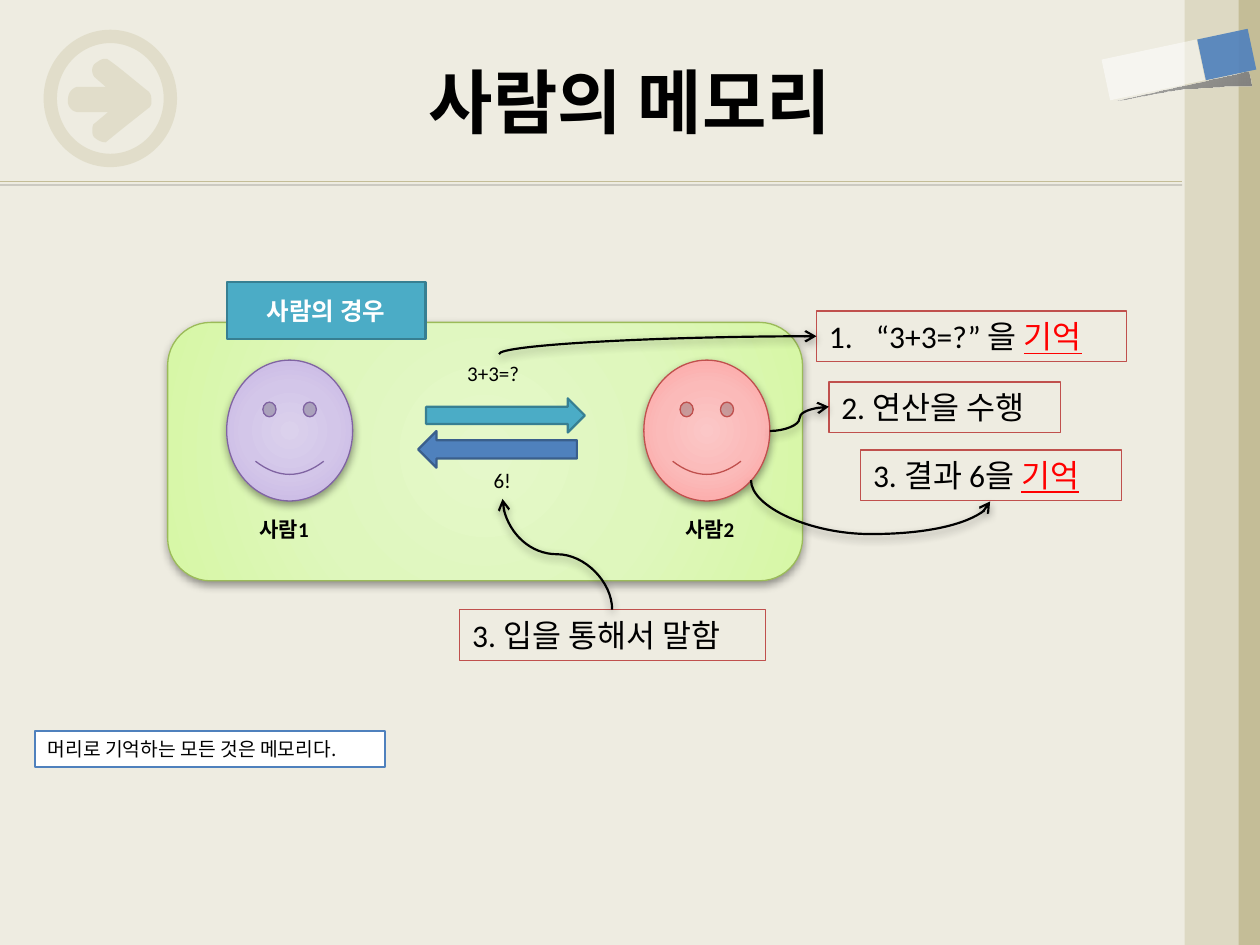
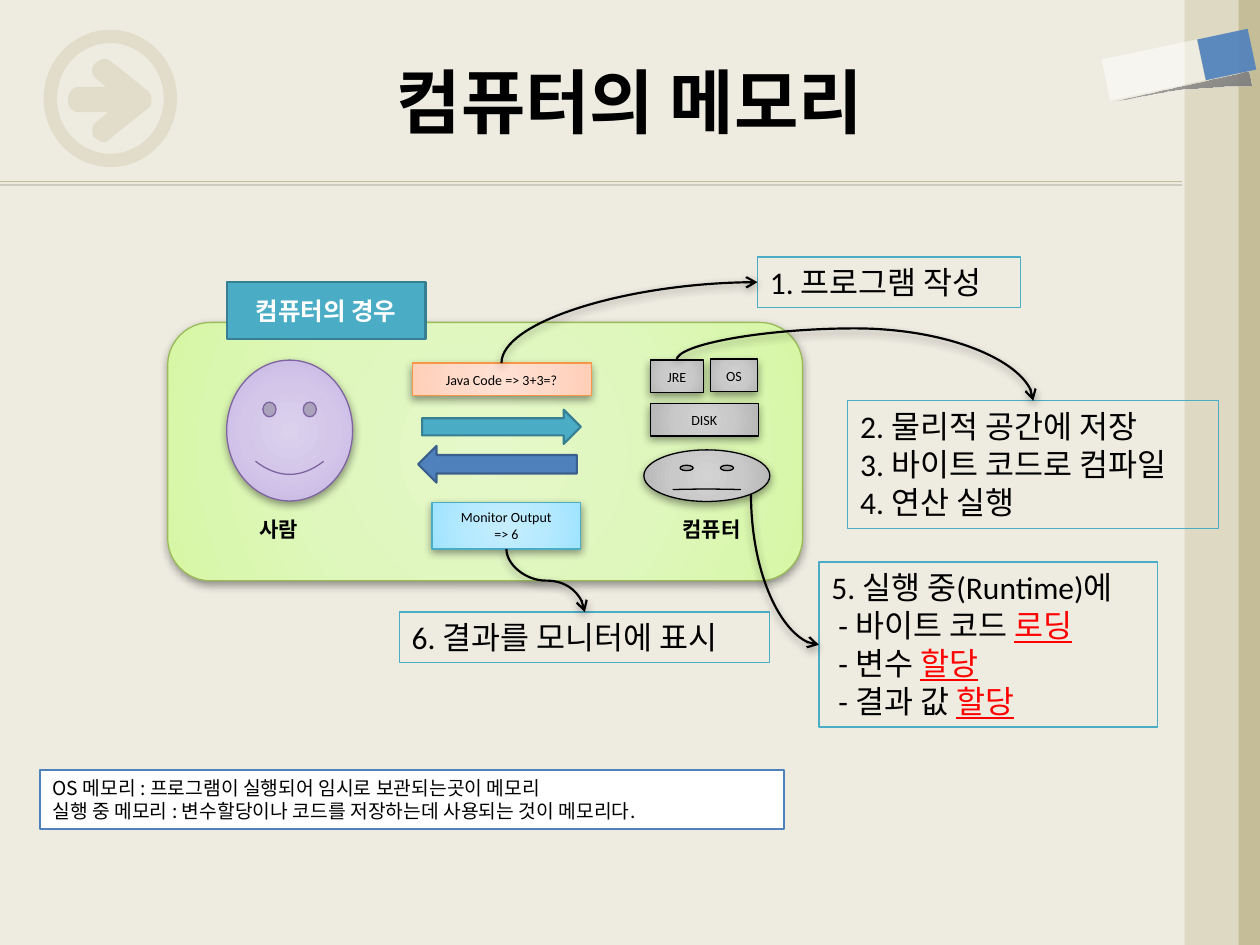
from dataclasses import dataclass

from lxml.etree import SubElement
from pptx import Presentation
from pptx.dml.color import RGBColor
from pptx.enum.shapes import MSO_CONNECTOR, MSO_SHAPE
from pptx.enum.text import MSO_ANCHOR, MSO_AUTO_SIZE, PP_ALIGN
from pptx.oxml import parse_xml
from pptx.oxml.ns import nsdecls, qn
from pptx.util import Cm, Pt


@dataclass(frozen=True)
class Theme:
    """Colours, fonts and type sizes shared by the slides."""
    paper: str = "EEECE1"
    band: str = "DDD9C3"
    edge: str = "C4BD97"
    ink: str = "000000"
    white: str = "FFFFFF"
    accent: str = "FF0000"
    gray: str = "808080"
    blue: str = "4F81BD"
    blue_line: str = "3A5F8C"
    teal: str = "4BACC6"
    teal_line: str = "377F92"
    red: str = "C0504D"
    latin: str = "Calibri"
    korean: str = "Noto Sans CJK KR"
    title: int = 40
    callout: int = 18
    heading: int = 14
    label: int = 12
    note: int = 11
    device: int = 8
    thin: float = 0.75
    thick: float = 1.25


THEME = Theme()
SHADOW = (40, 5, 2)
GLOWS = {
    "green": (("E5F8CA", "DFF7BD", "D7F7A7", "D5F99E"), "9BBB59"),
    "violet": (("DBD1EC", "D3C6E9", "C6B3E3", "C2ACE3"), "8064A2"),
    "pink": (("FBC7C7", "FBBAB9", "FDA2A1", "FF9A98"), THEME.red),
    "gray": (("D3D3D3", "C9C9C9", "B8B8B8", "B2B2B2"), THEME.ink),
    "orange": (("FFE0D3", "FFDAC9", "FFCFB8", "FFCBB3"), "F79646"),
    "sky": (("C5EDFE", "B7EAFF", "A1E4FF", "9BE3FF"), THEME.teal),
}
ARROW_START = (3.0, 1.85)
ARROW_SEGMENTS = (
    ((2.84, 1.73), (2.34, 1.3), (2.16, 1.19)),
    ((2.06, 1.17), (2.01, 1.22), (1.93, 1.27)),
    ((1.85, 1.32), (1.83, 1.45), (1.9, 1.55)),
    ((2.13, 1.75),),
    ((1.55, 1.75),),
    ((1.4, 1.8), (1.37, 1.93), (1.37, 2.01)),
    ((1.35, 2.11), (1.42, 2.24), (1.55, 2.26)),
    ((2.18, 2.26),),
    ((1.88, 2.51),),
    ((1.85, 2.59), (1.85, 2.72), (1.9, 2.77)),
    ((1.96, 2.82), (2.03, 2.87), (2.13, 2.87)),
    ((2.57, 2.51), (3.02, 2.16), (3.02, 2.16)),
    ((3.07, 2.08), (3.05, 2.06), (3.05, 2.01)),
    ((3.05, 1.96), (3.05, 1.91), (3.0, 1.85)),
)
FOLD_START = (25.15, 1.45)
FOLD_SEGMENTS = (
    ((25.22, 1.75),),
    ((23.57, 1.73), (23.24, 1.93), (22.48, 2.03)),
    ((23.37, 1.83), (24.26, 1.65), (25.15, 1.45)),
)


def add_shadow(effects, alpha, blur, distance):
    """Put a soft downward shadow in an effect list."""
    effects.append(parse_xml(
        f'<a:outerShdw {nsdecls("a")} blurRad="{Pt(blur)}" dist="{Pt(distance)}" '
        f'dir="5400000" rotWithShape="0"><a:srgbClr val="{THEME.ink}">'
        f'<a:alpha val="{alpha * 1000}"/></a:srgbClr></a:outerShdw>'))


def paint(shape, fill=None, line=None, width=THEME.thin, alpha=100):
    """Give a shape a flat fill and a line, either of which may be absent."""
    shape.shadow.inherit = False
    if fill:
        shape.fill.solid()
        shape.fill.fore_color.rgb = RGBColor.from_string(fill)
        if alpha < 100:
            colour = shape._element.spPr.find(qn("a:solidFill"))[0]
            SubElement(colour, qn("a:alpha"), val=str(alpha * 1000))
    else:
        shape.fill.background()
    if line:
        shape.line.color.rgb = RGBColor.from_string(line)
        shape.line.width = Pt(width)
    else:
        shape.line.fill.background()


def paint_radial(shape, stops, centre):
    """Replace the empty fill of a shape by a circular gradient."""
    marks = "".join(
        f'<a:gs pos="{place * 1000}"><a:srgbClr val="{colour}">'
        f'<a:alpha val="{alpha * 1000}"/></a:srgbClr></a:gs>'
        for place, colour, alpha in stops)
    sides = " ".join(f'{side}="{value * 1000}"' for side, value in zip("ltrb", centre))
    gradient = parse_xml(
        f'<a:gradFill {nsdecls("a")} rotWithShape="1"><a:gsLst>{marks}</a:gsLst>'
        f'<a:path path="circle"><a:fillToRect {sides}/></a:path></a:gradFill>')
    properties = shape._element.spPr
    properties.replace(properties.find(qn("a:noFill")), gradient)


def add_box(slide, kind, place, **look):
    """Add a flat preset shape at a place in centimetres."""
    box = slide.shapes.add_shape(kind, *map(Cm, place))
    paint(box, **look)
    return box


def add_glow(slide, kind, place, name):
    """Add a shadowed preset shape with one of the soft gradients."""
    colours, line = GLOWS[name]
    box = add_box(slide, kind, place, line=line)
    stops = [(at, colour, 100) for at, colour in zip((0, 50, 97, 100), colours)]
    paint_radial(box, stops, (50, 50, 50, 50))
    add_shadow(box._element.spPr.find(qn("a:effectLst")), *SHADOW)
    return box


def add_outline(slide, start, segments):
    """Add a closed freeform whose segments are lines or cubic curves."""
    points, here = [], start
    for segment in segments:
        if len(segment) == 1:
            points.append(segment[0])
        else:
            for step in range(1, 9):
                t = step / 8
                weights = ((1 - t) ** 3, 3 * t * (1 - t) ** 2, 3 * t * t * (1 - t), t ** 3)
                knots = (here, *segment)
                points.append(tuple(
                    sum(weight * knot[axis] for weight, knot in zip(weights, knots))
                    for axis in (0, 1)))
        here = segment[-1]
    builder = slide.shapes.build_freeform(*map(Cm, start))
    builder.add_line_segments([tuple(map(Cm, point)) for point in points], close=True)
    return builder.convert_to_shape()


def write_span(para, text, size, colour, font, **extra):
    """Add one run of formatted text."""
    span = para.add_run()
    span.text = text
    span.font.color.rgb = RGBColor.from_string(colour)
    for name, value in {"size": Pt(size), "name": font, **extra}.items():
        setattr(span.font, name, value)
    SubElement(span._r.get_or_add_rPr(), qn("a:ea"), typeface=THEME.korean)


def write(box, lines, size, colour=THEME.ink, font=THEME.latin, bold=False,
          centred=True, wrap=True, grow=False, numbered=False):
    """Fill a box with lines, where text after a bar is highlighted."""
    frame = box.text_frame
    layout = {
        "word_wrap": wrap,
        "auto_size": MSO_AUTO_SIZE.SHAPE_TO_FIT_TEXT if grow else MSO_AUTO_SIZE.NONE,
        "vertical_anchor": MSO_ANCHOR.MIDDLE if centred else MSO_ANCHOR.TOP,
    }
    for name, value in layout.items():
        setattr(frame, name, value)
    for index, line in enumerate(lines):
        para = frame.add_paragraph() if index else frame.paragraphs[0]
        para.alignment = PP_ALIGN.CENTER if centred else PP_ALIGN.LEFT
        properties = para._p.get_or_add_pPr()
        if numbered:
            properties.set("marL", str(Cm(0.95)))
            properties.set("indent", str(-Cm(0.95)))
            SubElement(properties, qn("a:buAutoNum"), type="arabicPeriod")
        elif line.startswith("- "):
            properties.set("marL", str(Cm(0.14)))
        plain, _, marked = line.partition("|")
        write_span(para, plain, size, colour, font, bold=bold)
        if marked:
            write_span(para, marked, size, THEME.accent, font, underline=True)


def add_label(slide, place, text, bold=False):
    """Add a small one-line caption."""
    box = slide.shapes.add_textbox(*map(Cm, place))
    write(box, [text], THEME.label, bold=bold, centred=False, wrap=False, grow=True)


def add_callout(slide, place, line, lines, numbered=False):
    """Add an outlined explanation."""
    box = add_box(slide, MSO_SHAPE.RECTANGLE, place, line=line)
    write(box, lines, THEME.callout, centred=False, wrap=False, grow=True, numbered=numbered)


def add_note(slide, place, lines, wrap):
    """Add the white conclusion box."""
    box = add_box(slide, MSO_SHAPE.RECTANGLE, place,
                  fill=THEME.white, line=THEME.blue, width=THEME.thick)
    write(box, lines, THEME.note, font=THEME.korean, centred=False, wrap=wrap, grow=True)


def add_device(slide, place, glow, *lines):
    """Add a small gradient box naming a part of the computer."""
    write(add_glow(slide, MSO_SHAPE.RECTANGLE, place, glow), lines, THEME.device)


def style_connector(connector, colour, width, shadow):
    """Set colour, width and shadow of a connector."""
    connector.line.color.rgb = RGBColor.from_string(colour)
    connector.line.width = Pt(width)
    add_shadow(SubElement(connector._element.spPr, qn("a:effectLst")), *shadow)


def add_curve(slide, start, end, bend=None, upright=True):
    """Add a curved arrow that leaves upright or sideways, with an optional bend."""
    (x1, y1), (x2, y2) = start, end
    across, down = x2 - x1, y2 - y1
    corners = (x1, y1, x2, y2)
    if upright:
        x, y, half_w, half_h = (x1 + x2) / 2, (y1 + y2) / 2, abs(down) / 2, abs(across) / 2
        corners = (x - half_w, y - half_h, x + half_w, y + half_h)
    curve = slide.shapes.add_connector(MSO_CONNECTOR.CURVE, *map(Cm, corners))
    properties = curve._element.spPr
    if upright:
        turn, sign = (90, 1) if across > 0 > down else (270, -1)
        frame = {"rot": turn * 60000, "flipH": int(sign * down < 0),
                 "flipV": int(sign * across > 0)}
        for name, value in frame.items():
            properties.find(qn("a:xfrm")).set(name, str(value))
    geometry = properties.find(qn("a:prstGeom"))
    if bend is None:
        geometry.set("prst", "curvedConnector2")
    else:
        SubElement(geometry.find(qn("a:avLst")), qn("a:gd"),
                   name="adj1", fmla=f"val {round(bend * 100000)}")
    style_connector(curve, THEME.ink, THEME.thick, SHADOW)
    SubElement(curve.line._get_or_add_ln(), qn("a:tailEnd"), type="arrow")


def add_frame(slide, title):
    """Draw the rule, emblem, side bands, ribbon and title."""
    rule = slide.shapes.add_connector(MSO_CONNECTOR.STRAIGHT, *map(Cm, (0, 3.66, 23.83, 3.66)))
    style_connector(rule, THEME.edge, THEME.thin, (22, 0, 2))
    paint(add_outline(slide, ARROW_START, ARROW_SEGMENTS), fill=THEME.edge, alpha=30)
    ring = add_box(slide, MSO_SHAPE.DONUT, (0.88, 0.6, 2.69, 2.77), fill=THEME.edge, alpha=30)
    ring.adjustments[0] = 0.1
    add_box(slide, MSO_SHAPE.RECTANGLE, (23.9, 0, 1.5, 19.05), fill=THEME.edge)
    add_box(slide, MSO_SHAPE.RECTANGLE, (23.88, 0, 1.09, 19.05), fill=THEME.band)
    fold = add_outline(slide, FOLD_START, FOLD_SEGMENTS)
    paint(fold)
    paint_radial(fold, ((0, THEME.gray, 100), (100, THEME.gray, 56)), (100, 100, 0, 0))
    for place, colour, alpha in (((24.31, 0.58, 0.84, 1.04), THEME.blue, 90),
                                 ((22.83, 0.43, 0.84, 1.96), THEME.white, 50)):
        add_box(slide, MSO_SHAPE.RECTANGLE, place, fill=colour, alpha=alpha).rotation = 78
    box = slide.shapes.add_textbox(*map(Cm, (1.27, 0.43, 22.86, 3.18)))
    write(box, [title], THEME.title, bold=True)


def add_scene(slide, heading, ask, reply):
    """Draw the green panel with its heading, first person and two block arrows."""
    add_glow(slide, MSO_SHAPE.ROUNDED_RECTANGLE, (3.38, 6.5, 12.8, 5.21), "green")
    add_glow(slide, MSO_SHAPE.SMILEY_FACE, (4.57, 7.26, 2.54, 2.84), "violet")
    add_box(slide, MSO_SHAPE.RIGHT_ARROW, (*ask, 3.2, 0.69),
            fill=THEME.teal, line=THEME.teal_line, width=THEME.thick)
    add_box(slide, MSO_SHAPE.LEFT_ARROW, (*reply, 3.2, 0.74),
            fill=THEME.blue, line=THEME.blue_line, width=THEME.thick)
    box = add_box(slide, MSO_SHAPE.RECTANGLE, (4.57, 5.69, 4.01, 1.14),
                  fill=THEME.teal, line=THEME.teal_line, width=THEME.thick)
    write(box, [heading], THEME.heading, THEME.white, bold=True)


def build_person(slide):
    """Show how a person remembers."""
    add_frame(slide, "사람의 메모리")
    add_scene(slide, "사람의 경우", (8.59, 8.03), (8.43, 8.69))
    add_glow(slide, MSO_SHAPE.SMILEY_FACE, (12.98, 7.26, 2.54, 2.84), "pink")
    add_label(slide, (9.17, 7.14, 1.78, 0.76), "3+3=?")
    add_label(slide, (9.7, 9.3, 0.86, 0.76), "6!")
    add_label(slide, (4.98, 10.29, 1.6, 0.76), "사람1", bold=True)
    add_label(slide, (13.56, 10.29, 1.63, 0.76), "사람2", bold=True)
    add_callout(slide, (16.46, 6.27, 6.25, 1.02), THEME.red, ["“3+3=?” 을 |기억"], numbered=True)
    add_callout(slide, (16.71, 7.7, 4.67, 1.02), THEME.red, ["2. 연산을 수행"])
    add_callout(slide, (17.35, 9.07, 5.26, 1.02), THEME.red, ["3. 결과 6을 |기억"])
    add_callout(slide, (9.27, 12.29, 6.17, 1.02), THEME.red, ["3. 입을 통해서 말함"])
    add_curve(slide, (10.06, 7.14), (16.46, 6.78))
    add_curve(slide, (15.14, 9.68), (19.96, 10.11), bend=2.53)
    add_curve(slide, (12.34, 12.29), (10.13, 10.06), bend=0.5)
    add_curve(slide, (15.52, 8.69), (16.71, 8.2), bend=0.5, upright=False)
    add_note(slide, (0.71, 14.73, 7.06, 0.74), ["머리로 기억하는 모든 것은 메모리다."], wrap=False)


def build_computer(slide):
    """Show how a computer remembers."""
    add_frame(slide, "컴퓨터의 메모리")
    add_scene(slide, "컴퓨터의 경우", (8.51, 8.26), (8.43, 8.99))
    face = add_glow(slide, MSO_SHAPE.SMILEY_FACE, (12.98, 9.07, 2.54, 1.04), "gray")
    face.adjustments[0] = -0.005
    add_label(slide, (4.98, 10.29, 1.37, 0.76), "사람", bold=True)
    add_label(slide, (13.51, 10.29, 1.8, 0.76), "컴퓨터", bold=True)
    add_device(slide, (8.31, 7.32, 3.61, 0.66), "orange", "Java Code => 3+3=?")
    add_device(slide, (13.11, 7.26, 1.07, 0.66), "gray", "JRE")
    add_device(slide, (14.33, 7.24, 0.94, 0.66), "gray", "OS")
    add_device(slide, (13.11, 8.13, 2.18, 0.66), "gray", "DISK")
    add_device(slide, (8.71, 10.13, 3, 0.94), "sky", "Monitor Output", "=> 6")
    add_callout(slide, (17.09, 8.08, 7.47, 2.57), THEME.teal,
                ["2. 물리적 공간에 저장", "3. 바이트 코드로 컴파일", "4. 연산 실행"])
    add_callout(slide, (8.05, 12.34, 7.47, 1.02), THEME.teal, ["6. 결과를 모니터에 표시"])
    add_callout(slide, (15.27, 5.18, 5.31, 1.02), THEME.teal, ["1. 프로그램 작성"])
    add_callout(slide, (16.51, 11.33, 6.83, 3.33), THEME.teal,
                ["5. 실행 중(Runtime)에", "- 바이트 코드 |로딩", "- 변수 |할당", "- 결과 값 |할당"])
    add_curve(slide, (10.11, 7.32), (15.27, 5.69))
    add_curve(slide, (13.64, 7.26), (20.83, 8.08), bend=-0.78)
    add_curve(slide, (10.21, 11.07), (11.79, 12.34), bend=0.5)
    add_curve(slide, (15.14, 9.96), (16.51, 13))
    add_note(slide, (0.81, 15.52, 14.99, 1.19),
             ["OS 메모리 : 프로그램이 실행되어 임시로 보관되는곳이 메모리",
              "실행 중 메모리 : 변수할당이나 코드를 저장하는데 사용되는 것이 메모리다."], wrap=True)


def main():
    """Build and save the deck."""
    deck = Presentation()
    deck.slide_width, deck.slide_height = Cm(25.4), Cm(19.05)
    backdrop = deck.slide_master.background.fill
    backdrop.solid()
    backdrop.fore_color.rgb = RGBColor.from_string(THEME.paper)
    for build_page in (build_person, build_computer):
        build_page(deck.slides.add_slide(deck.slide_layouts[6]))
    deck.save("out.pptx")


main()
